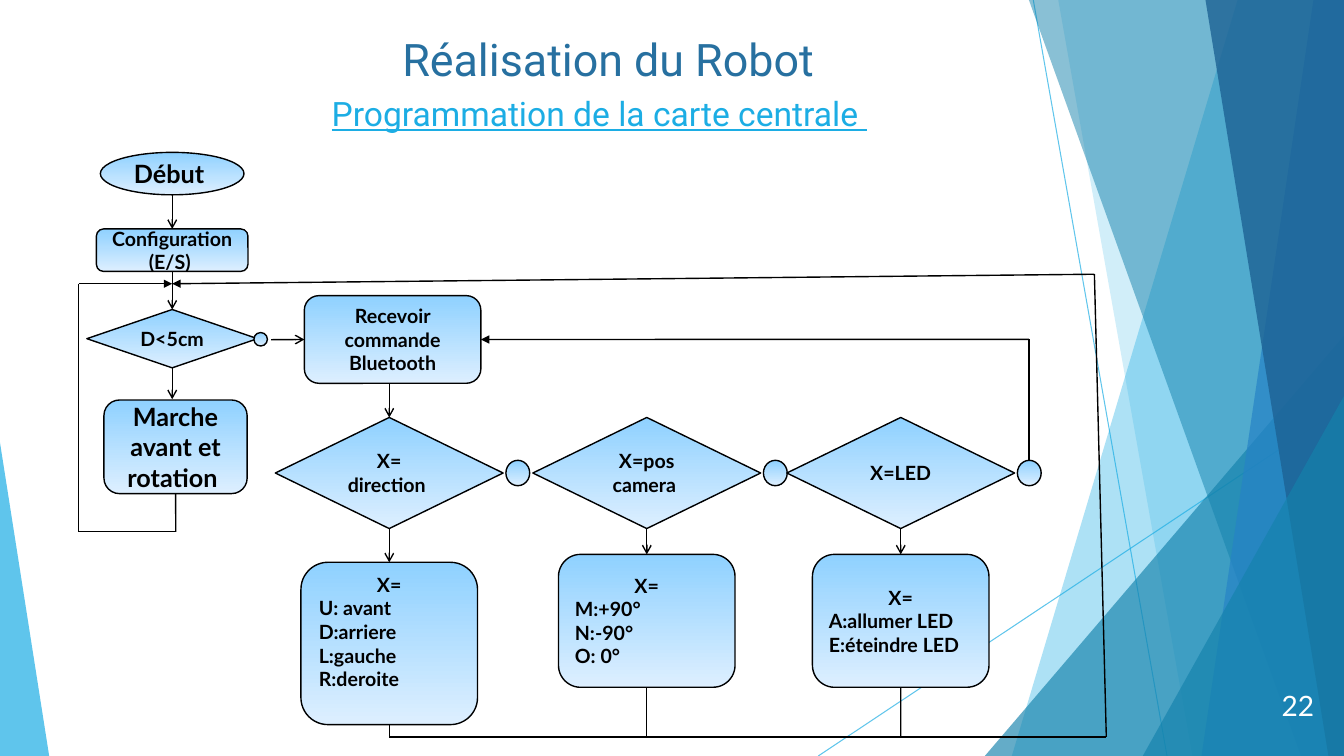
from lxml import etree
from pptx import Presentation
from pptx.dml.color import RGBColor
from pptx.enum import shapes, text
from pptx.oxml import ns
from pptx.util import Cm, Pt

BLACK = RGBColor(0, 0, 0)
WHITE = RGBColor(0xFF, 0xFF, 0xFF)
CYAN = RGBColor(0x1C, 0xAD, 0xE4)
TEAL = RGBColor(0x14, 0x82, 0xAC)
BLUE = RGBColor(0x26, 0x83, 0xC6)
NAVY = RGBColor(0x1D, 0x62, 0x94)
TITLE = RGBColor(0x27, 0x70, 0xA0)
NODE_TOP = RGBColor(0x8F, 0xD1, 0xFF)
NODE_BOTTOM = RGBColor(0xDD, 0xEF, 0xFF)

W, H = 33.87, 19.05
OVAL = shapes.MSO_SHAPE.OVAL
ROUND = shapes.MSO_SHAPE.ROUNDED_RECTANGLE
DECISION = shapes.MSO_SHAPE.FLOWCHART_DECISION
TRIANGLE = shapes.MSO_SHAPE.ISOSCELES_TRIANGLE
TOP, LEFT, BOTTOM, RIGHT = range(4)

RAYS = [((26.04, 0), (29.41, H)), ((W, 10.24), (20.62, H))]
BANDS = [
    ("band", (31.19, 25.5), CYAN, 36),
    ("band", (26.67, 30.05), CYAN, 20),
    ("triangle", (24.82, 8.46, 9.05, 10.59, 1), TEAL, 66),
    ("band", (25.93, 32.79), TEAL, 50),
    ("band", (33.1, 30.28), BLUE, 70),
    ("band", (30.38, 33.48), NAVY, 80),
    ("triangle", (28.8, 9.98, 5.07, 9.07, 1), TEAL, 66),
    ("triangle", (0, 11.15, 1.24, 7.9, 0), CYAN, 70),
]

NODES = {
    "debut": (OVAL, 2.53, 3.84, 3.62, 1.07, 18, ["Début "]),
    "config": (ROUND, 2.43, 5.77, 3.82, 1.07, 14, ["Configuration (E/S) "]),
    "distance": (DECISION, 2.19, 7.8, 4.3, 1.47, 14, ["D<5cm "]),
    "distance_non": (OVAL, 6.4, 8.38, 0.34, 0.34, 14, []),
    "recevoir": (ROUND, 7.67, 7.45, 4.45, 2.21, 14,
                 ["Recevoir commande Bluetooth"]),
    "marche": (ROUND, 2.62, 10.08, 3.61, 2.36, 18,
               ["Marche avant et rotation "]),
}

TESTS = [
    (9.81, ["X=", "direction "], 14.17, 4.09, 0.72,
     ["X=", "U: avant", "D:arriere", "L:gauche", "R:deroite"]),
    (16.3, ["X=pos camera "], 13.97, 3.35, 0.13,
     ["X=", "M:+90°", "N:-90°", "O: 0°"]),
    (22.7, ["X=LED"], 13.97, 3.35, 0.13,
     ["X=", "A:allumer LED", "E:éteindre LED"]),
]
TEST_W, TEST_H, TEST_Y = 5.74, 2.8, 10.52
ACTION_W, NON_W, NON_H, NON_GAP = 4.45, 0.6, 0.64, 0.07
BUS_Y = 18.57

LINKS = [
    ((4.34, 4.91), ("config", TOP), "arrow"),
    (("config", BOTTOM), ("distance", TOP), "arrow"),
    (("distance", BOTTOM), (4.34, 10.06), "arrow"),
    ((6.83, 8.56), ("recevoir", LEFT), "arrow"),
    ((9.81, 9.66), ("test0", TOP), "arrow"),
    ((25.93, 11.61), (25.93, 8.55), None),
    ((25.93, 8.55), ("recevoir", RIGHT), "triangle"),
    (("marche", BOTTOM), (4.43, 13.4), None),
    ((4.43, 13.4), (1.98, 13.4), None),
    ((1.98, 13.4), (1.98, 7.15), None),
    ((1.98, 7.15), (4.34, 7.15), "triangle"),
    ((9.81, BUS_Y), (27.88, BUS_Y), None),
    ((27.88, BUS_Y), (27.58, 6.91), None),
    ((27.58, 6.91), (4.34, 7.15), "triangle"),
]


def write(shape, lines, size=14, font="Lato", color=BLACK, bold=False,
          underline=False, align=text.PP_ALIGN.CENTER, rest=None,
          anchor=text.MSO_ANCHOR.MIDDLE, bottom=0.13):
    tf = shape.text_frame
    tf.word_wrap = True
    tf.auto_size = text.MSO_AUTO_SIZE.NONE
    tf.vertical_anchor = anchor
    tf.margin_bottom = Cm(bottom)
    for i, line in enumerate(lines):
        p = tf.add_paragraph() if i else tf.paragraphs[0]
        p.alignment = rest if i and rest else align
        p.space_before = Pt(0)
        r = p.add_run()
        r.text = line
        r.font.size, r.font.name = Pt(size), font
        r.font.bold, r.font.underline = bold, underline
        r.font.color.rgb = color


def place(sp, x, y, w, h):
    sp.left, sp.top, sp.width, sp.height = Cm(x), Cm(y), Cm(w), Cm(h)


def fade(sp, percent):
    for c in sp._element.spPr.iter(ns.qn("a:srgbClr")):
        etree.SubElement(c, ns.qn("a:alpha"), val=str(percent * 1000))


def add_line(s, start, end, color=BLACK, width=1, head=None):
    is_site = [isinstance(e[0], str) for e in (start, end)]
    pts = [(0, 0) if site else e for e, site in zip((start, end), is_site)]
    c = s.shapes.add_connector(shapes.MSO_CONNECTOR.STRAIGHT,
                               *[Cm(v) for pt in pts for v in pt])
    if is_site[0]:
        c.begin_connect(nodes[start[0]], start[1])
    if is_site[1]:
        c.end_connect(nodes[end[0]], end[1])
    c.line.color.rgb = color
    c.line.width = Pt(width)
    if head:
        etree.SubElement(c.line._get_or_add_ln(), ns.qn("a:tailEnd"), type=head)
    etree.SubElement(c._element.spPr, ns.qn("a:effectLst"))
    return c


def add_node(s, kind, x, y, w, h, size, lines, **fmt):
    sp = s.shapes.add_shape(kind, Cm(x), Cm(y), Cm(w), Cm(h))
    sp.shadow.inherit = False
    sp.fill.gradient()
    sp.fill.gradient_angle = 270
    for stop, color in zip(sp.fill.gradient_stops, (NODE_TOP, NODE_BOTTOM)):
        stop.color.rgb = color
    sp.line.color.rgb = BLACK
    sp.line.width = Pt(1)
    write(sp, lines, size=size, bold=True, **fmt)
    return sp


prs = Presentation()
prs.slide_width, prs.slide_height = Cm(W), Cm(H)
s = prs.slides.add_slide(prs.slide_layouts[0])
nodes = {}

for start, end in RAYS:
    fade(add_line(s, start, end, color=CYAN, width=0.75), 70)
for kind, dims, color, alpha in BANDS:
    if kind == "triangle":
        sp = s.shapes.add_shape(TRIANGLE, *[Cm(v) for v in dims[:4]])
        sp.adjustments[0] = dims[4]
    else:
        top_x, bottom_x = dims
        fb = s.shapes.build_freeform(Cm(top_x), 0)
        fb.add_line_segments([(Cm(W), 0), (Cm(W), Cm(H)), (Cm(bottom_x), Cm(H))])
        sp = fb.convert_to_shape()
    sp.shadow.inherit = False
    sp.fill.solid()
    sp.fill.fore_color.rgb = color
    sp.line.fill.background()
    fade(sp, alpha)

title, subtitle = s.placeholders
place(title, 6.25, 0.66, 18.44, 1.63)
write(title, ["Réalisation du Robot "], size=32, font="Roboto", color=TITLE,
      anchor=text.MSO_ANCHOR.TOP)
place(subtitle, 6.73, 2.21, 16.74, 1.27)
write(subtitle, ["Programmation de la carte centrale "], size=24, font="Roboto",
      color=CYAN, underline=True, anchor=text.MSO_ANCHOR.TOP)

for name, node in NODES.items():
    nodes[name] = add_node(s, *node)
for i, (cx, question, y, h, bottom, actions) in enumerate(TESTS):
    nodes[f"test{i}"] = add_node(s, DECISION, cx - TEST_W / 2, TEST_Y,
                                 TEST_W, TEST_H, 14, question)
    add_node(s, OVAL, cx + TEST_W / 2 + NON_GAP, TEST_Y + (TEST_H - NON_H) / 2,
             NON_W, NON_H, 14, [])
    nodes[f"action{i}"] = add_node(s, ROUND, cx - ACTION_W / 2, y, ACTION_W, h,
                                   14, actions, rest=text.PP_ALIGN.LEFT,
                                   bottom=bottom)
    add_line(s, (f"test{i}", BOTTOM), (f"action{i}", TOP), head="arrow")
    add_line(s, (f"action{i}", BOTTOM), (cx, BUS_Y))
for start, end, head in LINKS:
    add_line(s, start, end, head=head)

number = s.shapes.add_textbox(Cm(31.47), Cm(17.27), Cm(1.9), Cm(1.02))
write(number, ["22"], size=20, color=WHITE, align=text.PP_ALIGN.RIGHT)

prs.save("out.pptx")
